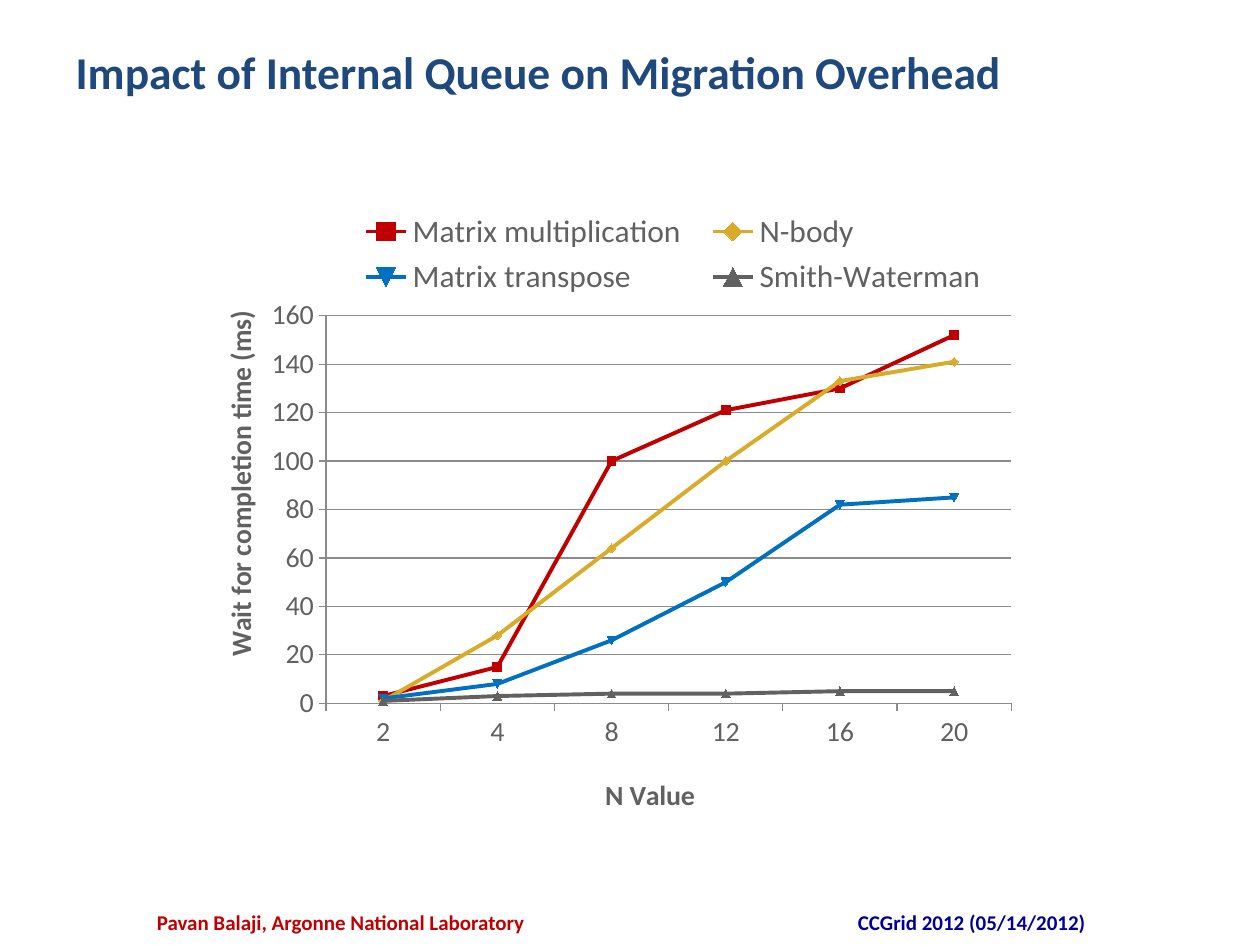
from lxml import etree
from pptx import Presentation
from pptx.chart.data import CategoryChartData
from pptx.dml.color import RGBColor
from pptx.enum.chart import XL_CHART_TYPE, XL_LEGEND_POSITION, XL_MARKER_STYLE, XL_TICK_MARK
from pptx.enum.text import MSO_ANCHOR, PP_ALIGN
from pptx.oxml.ns import qn
from pptx.util import Cm, Pt

LINE = XL_CHART_TYPE.LINE_MARKERS
TOP = XL_LEGEND_POSITION.TOP
AUTO = XL_MARKER_STYLE.AUTOMATIC
OUT = XL_TICK_MARK.OUTSIDE
ANCHOR = MSO_ANCHOR.TOP
LEFT, CENTER = PP_ALIGN.LEFT, PP_ALIGN.CENTER

FONT = "Calibri"
NAVY = RGBColor(0x1F, 0x49, 0x7D)
RED = RGBColor(0xC0, 0x00, 0x00)
GOLD = RGBColor(0xD8, 0xAC, 0x28)
BLUE = RGBColor(0x00, 0x70, 0xC0)
GRAY = RGBColor(0x61, 0x61, 0x61)
INDIGO = RGBColor(0x00, 0x00, 0x99)
RULE = RGBColor(0x8B, 0x8B, 0x8B)

SIZES = ["2", "4", "8", "12", "16", "20"]
TESTS = [
    ("Matrix multiplication", [3, 15, 100, 121, 130, 152], RED),
    ("N-body", [1, 28, 64, 100, 133, 141], GOLD),
    ("Matrix transpose", [2, 8, 26, 50, 82, 85], BLUE),
    ("Smith-Waterman", [1, 3, 4, 4, 5, 5], GRAY),
]


def style(font, size, color, bold=False):
    font.name = FONT
    font.size = Pt(size)
    font.bold = bold
    font.color.rgb = color


def write(frame, text, size=12, color=GRAY, bold=True, align=LEFT):
    para = frame.paragraphs[0]
    para.alignment = align
    run = para.add_run()
    run.text = text
    style(run.font, size, color, bold)


def add_title(slide, text):
    title = slide.shapes.title
    title.left, title.top = Cm(1.27), Cm(0.76)
    title.width, title.height = Cm(22.86), Cm(2.21)
    title.text_frame.vertical_anchor = ANCHOR
    write(title.text_frame, text, size=26, color=NAVY)


def add_foot(slide, text, left, width, color):
    box = slide.shapes.add_textbox(Cm(left), Cm(18.21), Cm(width), Cm(0.64))
    box.text_frame.word_wrap = True
    box.text_frame.vertical_anchor = ANCHOR
    write(box.text_frame, text, color=color, align=CENTER)


def place(node, after=None, inner=False, **spots):
    for old in node.findall(qn("c:layout")):
        node.remove(old)
    layout = etree.Element(qn("c:layout"))
    manual = etree.SubElement(layout, qn("c:manualLayout"))
    if inner:
        etree.SubElement(manual, qn("c:layoutTarget")).set("val", "inner")
    for key in ("x", "y"):
        etree.SubElement(manual, qn(f"c:{key}Mode")).set("val", "edge")
    for key, value in spots.items():
        etree.SubElement(manual, qn(f"c:{key}")).set("val", str(value))
    if after:
        node.find(qn(after)).addnext(layout)
    else:
        node.insert(0, layout)


def set_axis(axis, text, x, y):
    write(axis.axis_title.text_frame, text, size=16)
    place(axis.axis_title._element, after="c:tx", x=x, y=y)
    style(axis.tick_labels.font, 16, GRAY)
    axis.major_tick_mark = OUT
    axis.format.line.color.rgb = RULE
    axis.format.line.width = Pt(0.75)


def set_line(series, color):
    series.smooth = False
    series.format.line.color.rgb = color
    series.format.line.width = Pt(2.25)
    mark = series.marker
    mark.style = AUTO
    mark.size = 5
    mark.format.fill.solid()
    mark.format.fill.fore_color.rgb = color
    mark.format.line.color.rgb = color


def add_graph(slide):
    data = CategoryChartData()
    data.categories = SIZES
    for name, values, _ in TESTS:
        data.add_series(name, values)
    chart = slide.shapes.add_chart(
        LINE, Cm(3.81), Cm(4.01), Cm(18.42), Cm(12.55), data).chart
    chart.has_title = False
    style(chart.font, 18, GRAY)
    plot = chart.plots[0]
    plot.vary_by_categories = False
    for series, (_, _, color) in zip(plot.series, TESTS):
        set_line(series, color)

    set_axis(chart.category_axis, "N Value", 0.45, 0.93)
    axis = chart.value_axis
    set_axis(axis, "Wait for completion time (ms)", 0.03, 0.18)
    axis.minimum_scale, axis.maximum_scale, axis.major_unit = 0, 160, 20
    axis.major_gridlines.format.line.color.rgb = RULE
    axis.major_gridlines.format.line.width = Pt(0.75)

    chart.has_legend = True
    chart.legend.position = TOP
    chart.legend.include_in_layout = False
    style(chart.legend.font, 18, GRAY)
    place(chart.legend._element, after="c:legendPos", x=0.17, y=0.01, w=0.72, h=0.16)
    area = chart._chartSpace.chart.plotArea
    place(area, inner=True, x=0.15, y=0.19, w=0.75, h=0.63)


def main():
    deck = Presentation()
    deck.slide_width, deck.slide_height = Cm(25.4), Cm(19.05)
    slide = deck.slides.add_slide(deck.slide_layouts[5])
    add_title(slide, "Impact of Internal Queue on Migration Overhead")
    add_graph(slide)
    add_foot(slide, "Pavan Balaji, Argonne National Laboratory", 2.74, 8.26, RED)
    add_foot(slide, "CCGrid 2012 (05/14/2012)", 14.61, 9.96, INDIGO)
    deck.save("out.pptx")


if __name__ == "__main__":
    main()
